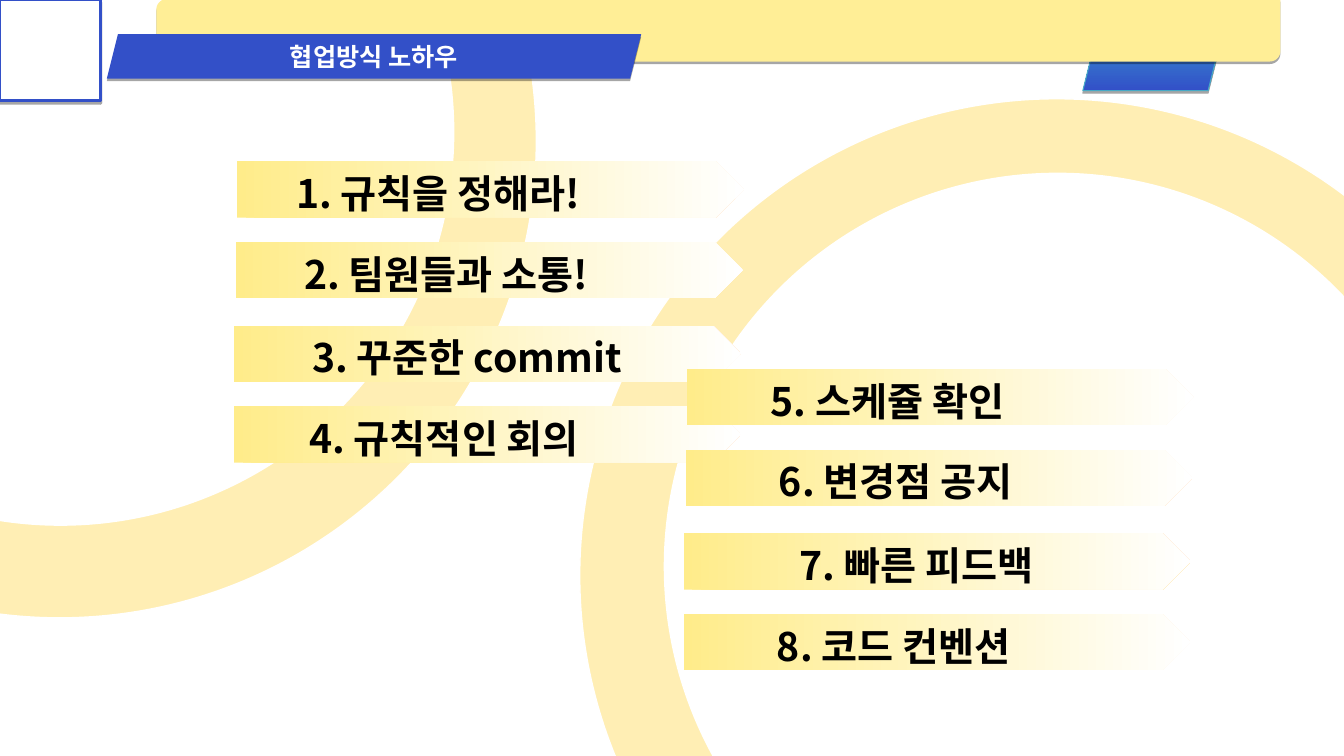
from lxml import etree
from pptx import Presentation
from pptx.dml.color import RGBColor
from pptx.enum.shapes import MSO_SHAPE
from pptx.enum.text import MSO_ANCHOR, MSO_AUTO_SIZE, PP_ALIGN
from pptx.oxml import parse_xml
from pptx.oxml.ns import nsdecls, qn
from pptx.util import Inches, Pt

COLORS = {
    "blue": "3350C8", "cyan": "36B1D2", "teal": "46AAC5",
    "band": "FFEE96", "ring": "FFEEB4", "arrow": "FFEC8A",
    "white": "FFFFFF", "black": "000000",
}
FONT = "Noto Sans CJK KR"


def rgb(name):
    return RGBColor.from_string(COLORS[name])


class SlideBuilder:
    def __init__(self, slide):
        self.slide = slide

    def style(self, shape, fill, line=None, width=1, shadow=False):
        """A pair of fill colours makes a gradient."""
        if isinstance(fill, tuple):
            shape.fill.gradient()
            for stop, name in zip(shape.fill.gradient_stops, fill):
                stop.color.rgb = rgb(name)
        else:
            shape.fill.solid()
            shape.fill.fore_color.rgb = rgb(fill)
        if line:
            shape.line.color.rgb = rgb(line)
            shape.line.width = Pt(width)
        else:
            shape.line.fill.background()
        shape.shadow.inherit = False
        if shadow:
            effects = shape._element.spPr.find(qn("a:effectLst"))
            effects.append(parse_xml(
                f'<a:outerShdw {nsdecls("a")} blurRad="0" dist="{Pt(1.8)}" dir="5400000" '
                f'rotWithShape="0"><a:srgbClr val="{COLORS["black"]}">'
                '<a:alpha val="35000"/></a:srgbClr></a:outerShdw>'))

    def shape(self, kind, box, fill, adjustments=(), angle=0, **style):
        shape = self.slide.shapes.add_shape(kind, *map(Inches, box))
        for index, value in enumerate(adjustments):
            shape.adjustments[index] = value
        self.style(shape, fill, **style)
        if isinstance(fill, tuple):
            shape.fill.gradient_angle = angle
        return shape

    def ring(self, left, top):
        for inset, size, fill in ((0, 9.46, "ring"), (1, 7.8, "white")):
            box = (left + 0.84 * inset, top + 0.74 * inset, size, size)
            self.shape(MSO_SHAPE.OVAL, box, fill, line="white")

    def cube(self, faces):
        builder = None
        for face in faces:
            start, *rest = face
            if builder is None:
                builder = self.slide.shapes.build_freeform(*start, scale=Inches(1))
            else:
                builder.move_to(*start)
            builder.add_line_segments(rest, close=True)
        self.style(builder.convert_to_shape(), "white", "blue", 2, shadow=True)

    def text(self, shape, words, size, color):
        frame = shape.text_frame
        frame.text = words
        paragraph = frame.paragraphs[0]
        paragraph.alignment = PP_ALIGN.CENTER
        run = paragraph.runs[0]
        run.font.size, run.font.bold = Pt(size), True
        run.font.name = FONT
        run.font.color.rgb = rgb(color)
        east_asian = etree.SubElement(run.font._element, qn("a:ea"))
        east_asian.set("typeface", FONT)
        return run

    def label(self, box, words):
        shape = self.slide.shapes.add_textbox(*map(Inches, box))
        shape.text_frame.word_wrap = True
        shape.text_frame.auto_size = MSO_AUTO_SIZE.SHAPE_TO_FIT_TEXT
        run = self.text(shape, words, 28, "black")
        run.font._element.insert(0, parse_xml(
            f'<a:ln {nsdecls("a")} w="{Pt(0.75)}"><a:solidFill>'
            f'<a:srgbClr val="{COLORS["white"]}"/></a:solidFill></a:ln>'))

    def arrow(self, left, top):
        self.shape(MSO_SHAPE.PENTAGON, (left, top, 5.03, 0.56), ("arrow", "white"))


def main():
    presentation = Presentation()
    presentation.slide_width, presentation.slide_height = Inches(13.33), Inches(7.5)
    builder = SlideBuilder(presentation.slides.add_slide(presentation.slide_layouts[6]))

    # Background rings
    builder.ring(-4.14, -3.33)
    builder.ring(5.75, 0.98)

    # Header: tab, band, cube and title
    builder.shape(MSO_SHAPE.PARALLELOGRAM, (10.74, 0.03, 1.46, 0.87), ("blue", "cyan"),
                  angle=90, line="teal", width=0.75, shadow=True)
    builder.shape(MSO_SHAPE.ROUND_2_DIAG_RECTANGLE, (1.55, -0.01, 11.15, 0.62), "band",
                  adjustments=(0.17, 0), shadow=True)
    front_left, front_right, low_right, low_left = (
        (0.32, 0.32), (0.76, 0.44), (0.66, 0.83), (0.21, 0.71))
    back_left, back_right, back_low = (0.49, 0.22), (0.93, 0.34), (0.82, 0.73)
    builder.cube([
        (front_left, front_right, low_right, low_left),
        (front_right, back_right, back_low, low_right),
        (front_left, back_left, back_right, front_right),
    ])
    title = builder.shape(MSO_SHAPE.PARALLELOGRAM, (1.06, 0.34, 5.3, 0.44), "blue", shadow=True)
    title.text_frame.vertical_anchor = MSO_ANCHOR.MIDDLE
    builder.text(title, "협업방식 노하우", 18, "white")

    # Two columns of tips: arrow left, arrow top, label left, label width
    rows = [(2.35, 1.6, 2.17, 4.35), (2.34, 2.4, 2.25, 4.35),
            (2.32, 3.23, 2.19, 4.88), (2.32, 4.03, 2.23, 4.35)]
    columns = [
        (0, 0, ["1. 규칙을 정해라!", "2. 팀원들과 소통!", "3. 꾸준한 commit", "4. 규칙적인 회의"]),
        (4.46, 2.06, ["5. 스케쥴 확인", "6. 변경점 공지", "7. 빠른 피드백", "8. 코드 컨벤션"]),
    ]
    for shift_x, shift_y, tips in columns:
        for (left, top, label_left, label_width), tip in zip(rows, tips):
            builder.arrow(left + shift_x, top + shift_y)
            builder.label((label_left + shift_x, top + shift_y + 0.03, label_width, 0.57), tip)

    presentation.save("out.pptx")


if __name__ == "__main__":
    main()
